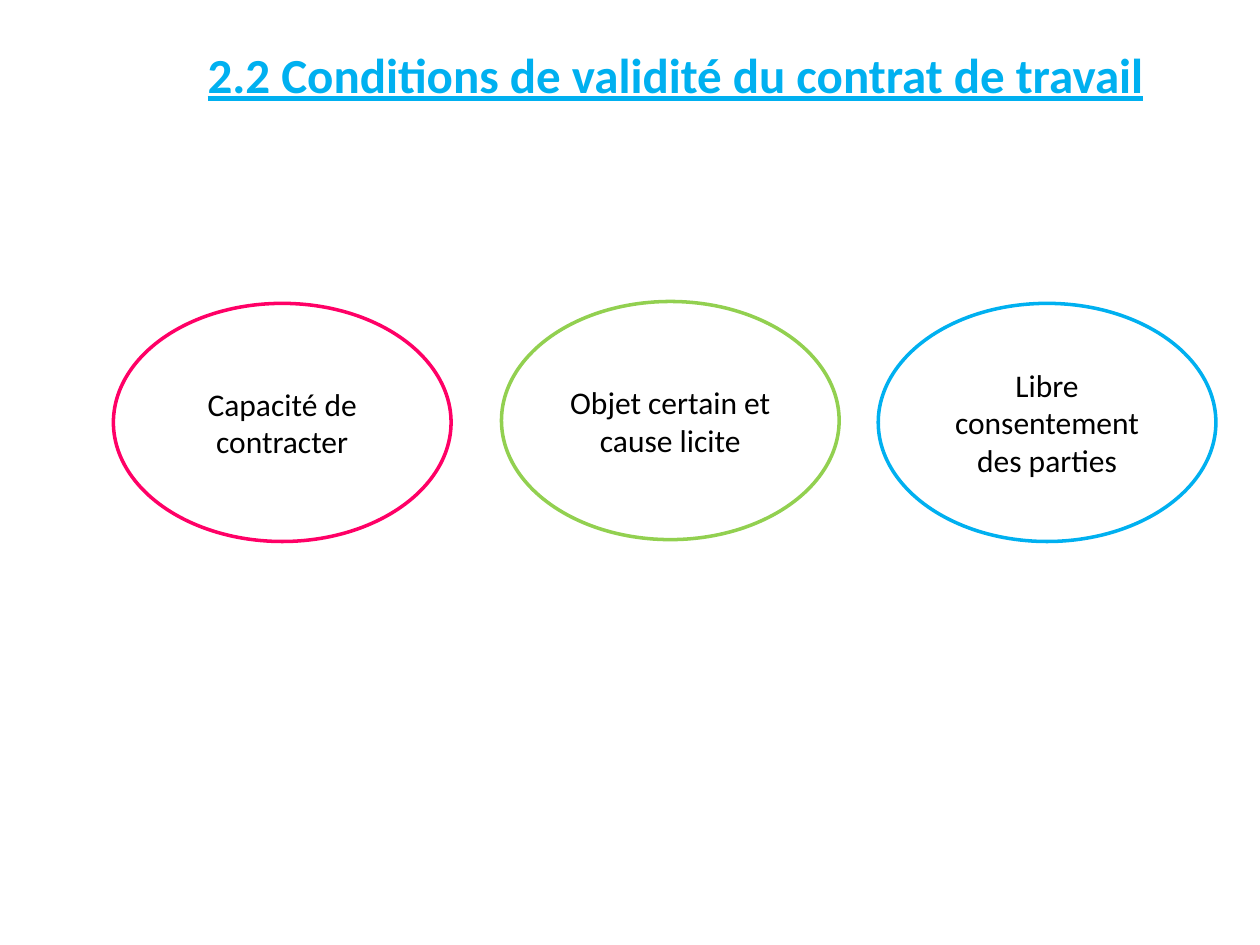
from pptx import Presentation
from pptx.dml.color import RGBColor
from pptx.enum.shapes import MSO_SHAPE
from pptx.enum.text import MSO_ANCHOR, PP_ALIGN
from pptx.util import Inches, Pt

BLUE = RGBColor(0x00, 0xB0, 0xF0)
PINK = RGBColor(0xFF, 0x00, 0x66)
GREEN = RGBColor(0x92, 0xD0, 0x50)
WHITE = RGBColor(0xFF, 0xFF, 0xFF)
BLACK = RGBColor(0x00, 0x00, 0x00)

WIDE, HIGH = Inches(10), Inches(7.5)
OVAL_W, OVAL_H = 0.268, 0.252
TERMS = [
    ("Capacité de contracter", PINK, 0.09, 0.321),
    ("Objet certain et cause licite", GREEN, 0.398, 0.319),
    ("Libre consentement des parties", BLUE, 0.697, 0.321),
]


def share(left, top, width, height):
    return int(left * WIDE), int(top * HIGH), int(width * WIDE), int(height * HIGH)


def write(frame, text, size=18, color=BLACK, bold=False, line=None,
          space=None, anchor=MSO_ANCHOR.MIDDLE, pad=(0.1, 0.05)):
    frame.word_wrap = True
    frame.vertical_anchor = anchor
    frame.margin_left = frame.margin_right = Inches(pad[0])
    frame.margin_top = frame.margin_bottom = Inches(pad[1])
    para = frame.paragraphs[0]
    para.alignment = PP_ALIGN.CENTER
    para.line_spacing = line
    para.space_before = space
    run = para.add_run()
    run.text = text
    font = run.font
    font.name, font.size = "Calibri", Pt(size)
    font.bold, font.underline = bold, bold
    font.color.rgb = color


def title(slide, box):
    label = slide.shapes.add_textbox(*box)
    write(label.text_frame, "2.2 Conditions de validité du contrat de travail",
          size=28, color=BLUE, bold=True, line=0.8, space=Pt(7),
          anchor=MSO_ANCHOR.TOP, pad=(0, 0))


def term(slide, box, text, color):
    oval = slide.shapes.add_shape(MSO_SHAPE.OVAL, *box)
    oval.shadow.inherit = False
    oval.fill.solid()
    oval.fill.fore_color.rgb = WHITE
    oval.line.color.rgb = color
    oval.line.width = Pt(2)
    write(oval.text_frame, text)


def main():
    deck = Presentation()
    deck.slide_width, deck.slide_height = WIDE, HIGH
    slide = deck.slides.add_slide(deck.slide_layouts[6])
    title(slide, share(0.114, 0.059, 0.844, 0.116))
    for text, color, left, top in TERMS:
        term(slide, share(left, top, OVAL_W, OVAL_H), text, color)
    deck.save("out.pptx")


if __name__ == "__main__":
    main()
